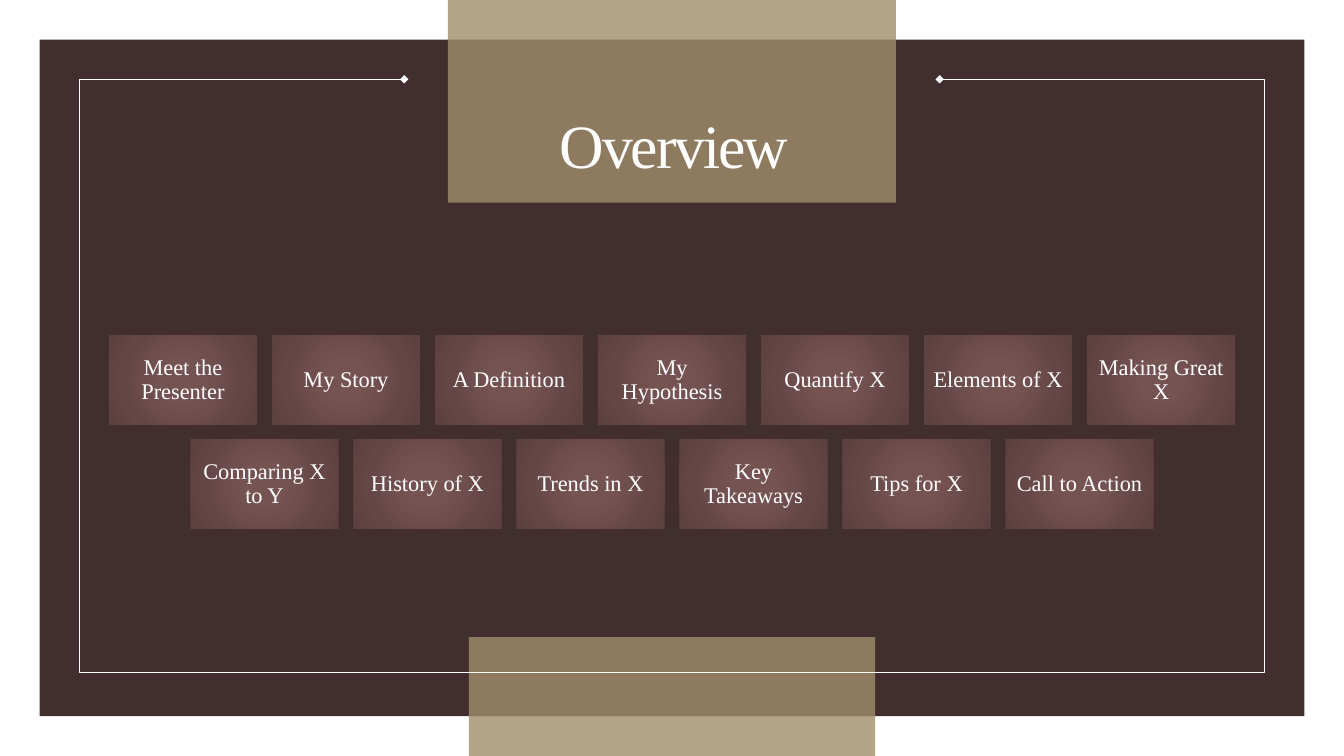
from lxml.etree import SubElement
from pptx import Presentation
from pptx.dml.color import RGBColor
from pptx.enum.shapes import MSO_SHAPE
from pptx.enum.text import MSO_ANCHOR, PP_ALIGN
from pptx.oxml import parse_xml
from pptx.oxml.ns import nsdecls, qn
from pptx.util import Inches, Pt

COLORS = {
    "panel": "422E2E",
    "band": "A28E6A",
    "white": "FFFFFF",
    "core": "765353",
    "mid": "644646",
    "edge": "5D4141",
}
GLOW = [(0, "core"), (23, "core"), (69, "mid"), (97, "edge")]
FONT = "Times New Roman"
TOPICS = [
    ["Meet the Presenter", "My Story", "A Definition", "My Hypothesis",
     "Quantify X", "Elements of X", "Making Great X"],
    ["Comparing X to Y", "History of X", "Trends in X", "Key Takeaways",
     "Tips for X", "Call to Action"],
]
TILE_W, TILE_H = 11.03, 11.8
STEP_X, STEP_Y = 12.13, 13.75
TOP = 44.38


class Deck:
    def __init__(self):
        self.prs = Presentation()
        self.prs.slide_width = Inches(13.33)
        self.prs.slide_height = Inches(7.5)
        self.slide = self.prs.slides.add_slide(self.prs.slide_layouts[6])

    def color(self, name):
        return RGBColor.from_string(COLORS[name])

    def point(self, x, y):
        return (round(self.prs.slide_width * x / 100),
                round(self.prs.slide_height * y / 100))

    def rect(self, x, y, w, h, fill=None, alpha=None):
        shape = self.slide.shapes.add_shape(
            MSO_SHAPE.RECTANGLE, *self.point(x, y), *self.point(w, h))
        shape.shadow.inherit = False
        shape.line.fill.background()
        if fill:
            shape.fill.solid()
            shape.fill.fore_color.rgb = self.color(fill)
        if alpha:
            tint = shape.element.spPr.find(".//" + qn("a:srgbClr"))
            SubElement(tint, qn("a:alpha"), val=str(alpha * 1000))
        return shape

    def label(self, frame, text, size, anchor):
        frame.word_wrap = True
        frame.vertical_anchor = anchor
        para = frame.paragraphs[0]
        para.text = text
        para.alignment = PP_ALIGN.CENTER
        para.line_spacing = 0.9
        para.font.name = FONT
        para.font.size = Pt(size)
        para.font.color.rgb = self.color("white")
        return para

    def title(self, x, y, w, h, text):
        box = self.slide.shapes.add_textbox(*self.point(x, y), *self.point(w, h))
        para = self.label(box.text_frame, text, 44, MSO_ANCHOR.BOTTOM)
        para.runs[0]._r.get_or_add_rPr().set("spc", "-150")

    def tile(self, x, y, text):
        shape = self.rect(x, y, TILE_W, TILE_H)
        stops = "".join(
            f'<a:gs pos="{pos * 1000}"><a:srgbClr val="{COLORS[name]}"/></a:gs>'
            for pos, name in GLOW)
        shape.element.spPr.insert(2, parse_xml(
            f'<a:gradFill {nsdecls("a")} rotWithShape="1"><a:gsLst>{stops}</a:gsLst>'
            '<a:path path="circle"><a:fillToRect l="50000" t="50000" '
            'r="50000" b="50000"/></a:path></a:gradFill>'))
        frame = shape.text_frame
        frame.margin_left = frame.margin_right = Pt(4.8)
        frame.margin_top = frame.margin_bottom = Pt(4.8)
        self.label(frame, text, 16, MSO_ANCHOR.MIDDLE)

    def frame(self, spots):
        start, *rest = [self.point(x, y) for x, y in spots]
        pen = self.slide.shapes.build_freeform(*start)
        pen.add_line_segments(rest, close=False)
        shape = pen.convert_to_shape()
        shape.shadow.inherit = False
        shape.fill.background()
        shape.line.color.rgb = self.color("white")
        shape.line.width = Pt(1)
        line = shape.element.spPr.find(qn("a:ln"))
        for end in ("a:headEnd", "a:tailEnd"):
            SubElement(line, qn(end), type="diamond")


def main():
    deck = Deck()
    deck.rect(2.95, 5.25, 94.1, 89.5, "panel")
    deck.rect(33.33, 0, 33.33, 26.8, "band", 80)
    deck.rect(34.88, 84.27, 30.24, 15.73, "band", 80)
    deck.frame([(69.92, 10.5), (94.09, 10.5), (94.09, 88.98),
                (5.91, 88.98), (5.91, 10.5), (30.08, 10.5)])
    deck.title(33.7, 5.25, 32.9, 19.47, "Overview")
    for row, names in enumerate(TOPICS):
        left = 50 - ((len(names) - 1) * STEP_X + TILE_W) / 2
        for col, name in enumerate(names):
            deck.tile(left + col * STEP_X, TOP + row * STEP_Y, name)
    deck.prs.save("out.pptx")


if __name__ == "__main__":
    main()
